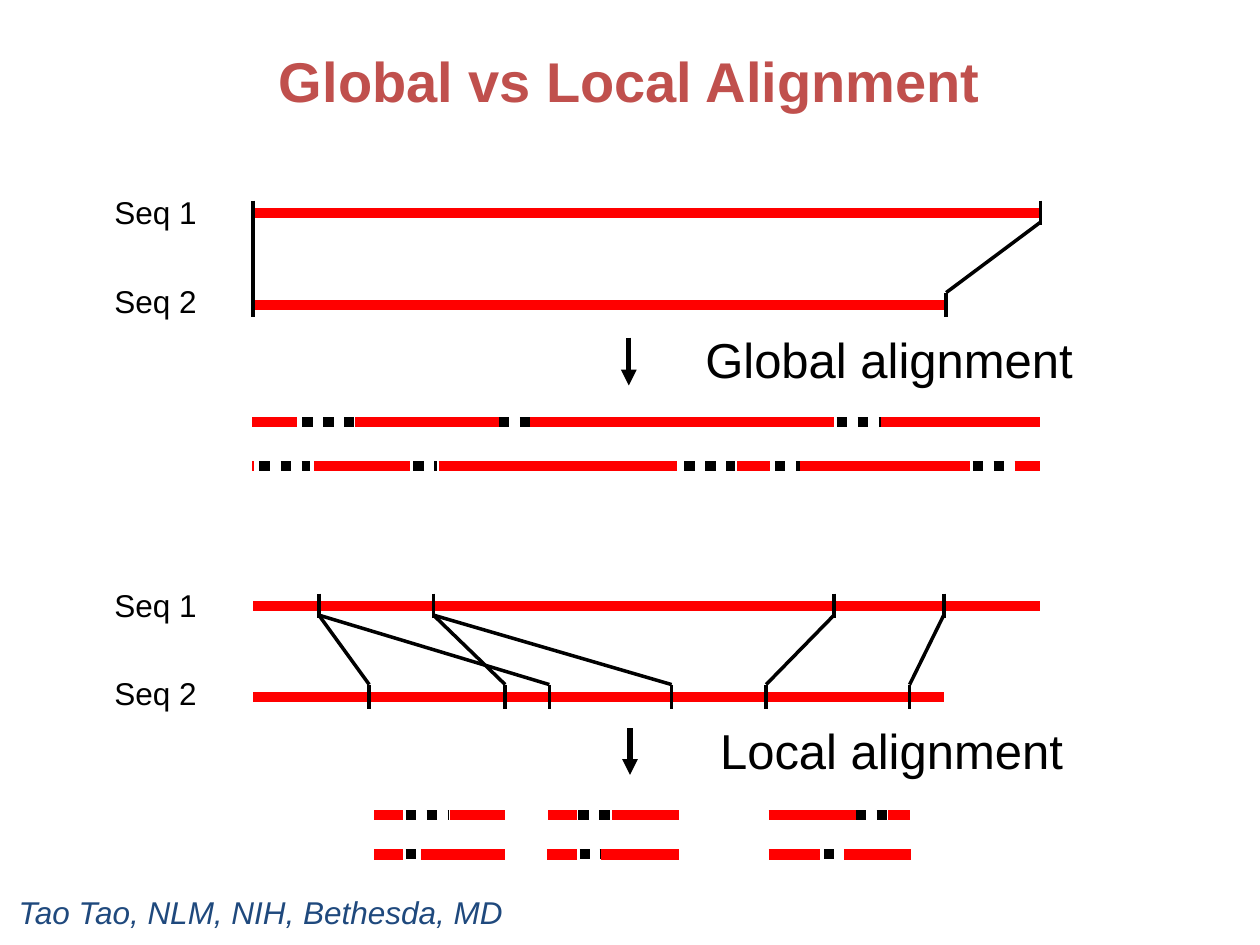
from pptx import Presentation
from pptx.dml.color import RGBColor
from pptx.enum.dml import MSO_LINE as Dash
from pptx.enum.shapes import MSO_CONNECTOR as Connector
from pptx.enum.text import MSO_ANCHOR as Anchor, PP_ALIGN as Align
from pptx.oxml.ns import qn
from pptx.util import Pt
from lxml import etree

RED = RGBColor(0xFF, 0x00, 0x00)
BLACK = RGBColor(0x00, 0x00, 0x00)
BRICK = RGBColor(0xC0, 0x50, 0x4D)
NAVY = RGBColor(0x1F, 0x49, 0x7D)

# Content: text, box (left, top, width, height), font values
TITLE = ("Global vs Local Alignment", (36, 19.4, 648, 61.2),
         {"size": Pt(32), "bold": True}, BRICK)
CREDIT = ("Tao Tao, NLM, NIH, Bethesda, MD", (0, 506.9, 298.1, 28.8),
          {"size": Pt(18), "italic": True}, NAVY)

# Each comparison: two sequences (label top, bar y, bar end) and matching positions
COMPARISONS = [
    {"sequences": [("Seq 1", 106.6, 121.7, 594), ("Seq 2", 157.7, 174.2, 540)],
     "matches": [(144.7, 144.7), (594.7, 540.7)],
     "caption": ("Global alignment", (395.3, 185, 225.4, 41)),
     "arrow": (359.3, 193, 220.3)},
    {"sequences": [("Seq 1", 331.2, 346.3, 594), ("Seq 2", 381.6, 398.2, 539.3)],
     "matches": [(182.2, 211), (182.2, 313.9), (247.7, 288.7),
                 (247.7, 383.8), (476.6, 437.8), (539.3, 519.8)],
     "caption": ("Local alignment", (403.9, 408.2, 211, 41)),
     "arrow": (360, 416.2, 442.8)},
]

# Aligned rows: y, then layers from back to front with their spans
ALIGNED_ROWS = [
    (241.2, [
        ("match", [(144, 169.9), (203, 286.6), (303.1, 476.6), (503.3, 594)]),
        ("gap", [(172.8, 202.3), (285.1, 305.3), (478.1, 503.3)])]),
    (266.4, [
        ("gap", [(148.3, 177.1), (236.2, 249.8), (391, 419.8),
                 (442.8, 457.2), (555.8, 581)]),
        ("match", [(144, 145.4), (179.3, 234), (250.6, 386.6),
                   (421.2, 439.9), (457.2, 554.4), (580.3, 594)])]),
    (465.8, [
        ("gap", [(231.8, 256.3), (330.5, 355.7), (488.9, 508.3)]),
        ("match", [(213.8, 230.4), (257, 288.7), (313.2, 329.8),
                   (349.9, 388.1), (439.2, 488.9), (507.6, 519.8)])]),
    (488.2, [
        ("short gap", [(231.8, 243.4), (331.2, 346.3), (470.9, 481.7)]),
        ("match", [(213.8, 230.4), (240.5, 288.7), (312.5, 329.8),
                   (343.4, 388.1), (439.2, 468.7), (482.4, 520.6)])]),
]

# Line styles: colour, width, dash
STYLES = {
    "match": (RED, 6, None),
    "gap": (BLACK, 6, Dash.ROUND_DOT),
    "short gap": (BLACK, 5.75, Dash.ROUND_DOT),
    "tick": (BLACK, 2, None),
    "arrow": (BLACK, 3, None),
}
BAR_LEFT = 144.7
LABEL_LEFT, LABEL_WIDTH, LABEL_HEIGHT = 57.6, 62.6, 28.8
TICK_REACH = 7
LINK_START = 5.2

deck = Presentation()
deck.slide_width, deck.slide_height = Pt(720), Pt(540)
slide = deck.slides.add_slide(deck.slide_layouts[6])


def add_line(style, x1, y1, x2, y2):
    line = slide.shapes.add_connector(Connector.STRAIGHT, Pt(x1), Pt(y1), Pt(x2), Pt(y2))
    colour, width, dash = STYLES[style]
    line.line.color.rgb = colour
    line.line.width = Pt(width)
    if dash:
        line.line.dash_style = dash
    properties = line._element.spPr
    if style == "arrow":
        etree.SubElement(properties.find(qn("a:ln")), qn("a:tailEnd"), type="triangle")
    etree.SubElement(properties, qn("a:effectLst"))


def add_text(words, box, font_values, colour=BLACK, **frame_values):
    frame = slide.shapes.add_textbox(*map(Pt, box)).text_frame
    for name, value in {"word_wrap": False, **frame_values}.items():
        setattr(frame, name, value)
    paragraph = frame.paragraphs[0]
    paragraph.alignment = Align.CENTER
    run = paragraph.add_run()
    run.text = words
    for name, value in {"name": "Arial", **font_values}.items():
        setattr(run.font, name, value)
    run.font.color.rgb = colour


# Title
add_text(*TITLE, word_wrap=True, margin_top=Pt(7))

# Sequence bars, matching positions, arrow and caption
for comparison in COMPARISONS:
    for label, top, y, end in comparison["sequences"]:
        add_text(label, (LABEL_LEFT, top, LABEL_WIDTH, LABEL_HEIGHT), {"size": Pt(18)})
        add_line("match", BAR_LEFT, y, end, y)
    upper, lower = [y for _, _, y, _ in comparison["sequences"]]
    ticks = {(x, y) for pair in comparison["matches"] for x, y in zip(pair, (upper, lower))}
    for x, y in sorted(ticks):
        add_line("tick", x, y - TICK_REACH, x, y + TICK_REACH)
    for x1, x2 in comparison["matches"]:
        add_line("tick", x1, upper + LINK_START, x2, lower - TICK_REACH)
    x, start, end = comparison["arrow"]
    add_line("arrow", x, start, x, end)
    add_text(*comparison["caption"], {"size": Pt(28)})

# Aligned rows with gaps
for y, layers in ALIGNED_ROWS:
    for style, spans in layers:
        for start, end in spans:
            add_line(style, start, y, end, y)

# Credit
add_text(*CREDIT, vertical_anchor=Anchor.MIDDLE)

deck.save("out.pptx")
